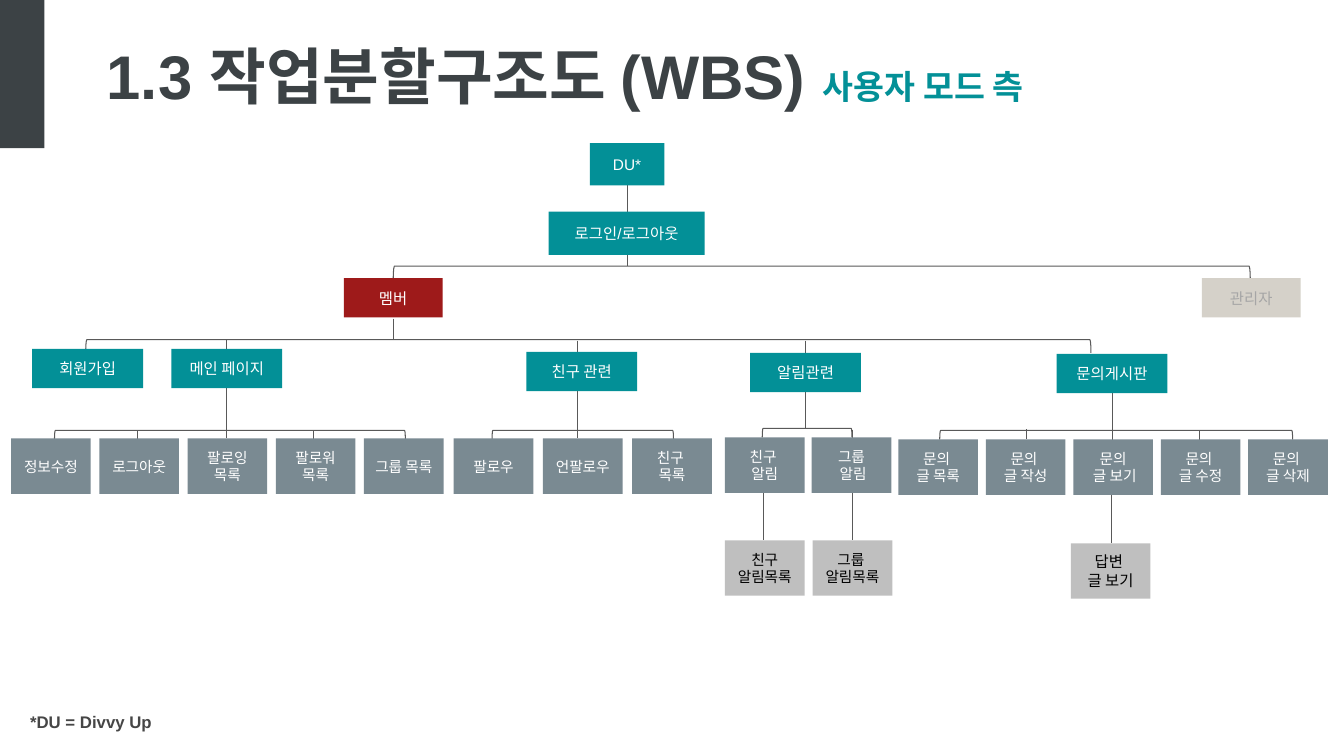
from lxml import etree
from pptx import Presentation
from pptx.dml.color import RGBColor
from pptx.enum import shapes, text
from pptx.oxml import ns
from pptx.util import Inches, Pt

DARK = RGBColor(0x3C, 0x42, 0x45)
NOTE = RGBColor(0x46, 0x46, 0x46)
LINE = RGBColor(0x59, 0x59, 0x59)
TEAL = RGBColor(0x03, 0x90, 0x97)
RED = RGBColor(0x9E, 0x1A, 0x1A)
SAND = RGBColor(0xD5, 0xD1, 0xC9)
FADED = RGBColor(0xA6, 0xA6, 0xA6)
SLATE = RGBColor(0x7A, 0x8A, 0x92)
GRAY = RGBColor(0xBF, 0xBF, 0xBF)
WHITE = RGBColor(0xFF, 0xFF, 0xFF)
BLACK = RGBColor(0, 0, 0)
FONT = "Arial"

# Title and footnote: left, top, width, height, runs of (text, size, colour)
NOTES = [
    (0.96, 0.33, 12.22, 0.84,
     [("1.3 작업분할구조도 (WBS) ", 44, DARK), ("사용자 모드 측", 24, TEAL)]),
    (0.2, 7.01, 2.01, 0.3, [("*DU = Divvy Up", 12, NOTE)]),
]

# Upper levels: label, left, top, width, height, fill, font colour
HEADS = [
    ("DU*", 5.85, 1.42, 0.74, 0.42, TEAL, WHITE),
    ("로그인/로그아웃", 5.44, 2.1, 1.55, 0.43, TEAL, WHITE),
    ("멤버", 3.41, 2.76, 0.98, 0.39, RED, WHITE),
    ("관리자", 11.92, 2.76, 0.98, 0.39, SAND, FADED),
]

# Menus under the member: label, left, top
MENU_W, MENU_H = 1.1, 0.39
MENUS = [
    ("회원가입", 0.32, 3.46),
    ("메인 페이지", 1.7, 3.46),
    ("친구 관련", 5.22, 3.49),
    ("알림관련", 7.44, 3.5),
    ("문의게시판", 10.48, 3.51),
]

# Pages of each menu: left of first, left of last, top, labels
PAGE_W, PAGE_H = 0.79, 0.55
PAGES = [
    (0.11, 3.61, 4.35, ["정보수정", "로그아웃", "팔로잉 목록", "팔로워\n목록", "그룹 목록"]),
    (4.5, 6.27, 4.35, ["팔로우", "언팔로우", "친구 \n목록"]),
    (7.19, 8.05, 4.34, ["친구 \n알림", "그룹\n 알림"]),
    (8.91, 12.38, 4.36,
     ["문의 \n글 목록", "문의 \n글 작성", "문의\n 글 보기", "문의 \n글 수정", "문의 \n글 삭제"]),
]

# Lowest level: label, left, top, size
SUBS = [
    ("친구\n알림목록", 7.19, 5.36, 10.5),
    ("그룹 \n알림목록", 8.06, 5.36, 10.5),
    ("답변 \n글 보기", 10.62, 5.39, 11),
]

# Brackets: left, right, top, drop
FORKS = [
    (3.9, 12.4, 2.64, 0.14),
    (0.85, 10.82, 3.37, 0.13),
    (0.54, 4.02, 4.27, 0.09),
    (4.88, 6.68, 4.27, 0.09),
    (7.56, 8.45, 4.25, 0.09),
    (9.32, 12.82, 4.27, 0.09),
]

# Vertical lines: x, top, bottom
STEMS = [
    (6.22, 1.84, 2.64), (3.9, 3.16, 3.37),
    (2.25, 3.37, 4.35), (5.73, 3.38, 4.35), (7.99, 3.38, 4.25), (11.03, 3.9, 4.41),
    (1.36, 4.27, 4.39), (3.11, 4.27, 4.39), (10.18, 4.26, 4.36), (11.9, 4.27, 4.37),
    (7.57, 4.64, 5.36), (8.46, 4.27, 5.36), (11.02, 4.89, 5.39),
]

deck = Presentation()
deck.slide_width, deck.slide_height = Inches(13.33), Inches(7.5)
slide = deck.slides.add_slide(deck.slide_layouts[6])


def style(run, size, color, bold=False):
    run.font.name = FONT
    run.font.size = Pt(size)
    run.font.bold = bold
    run.font.color.rgb = color


def add_line(item):
    item.line.color.rgb = LINE
    item.line.width = Pt(0.75)


def add_box(label, x, y, w, h, fill, color=WHITE, size=11):
    box = slide.shapes.add_shape(shapes.MSO_SHAPE.RECTANGLE, *map(Inches, (x, y, w, h)))
    box.shadow.inherit = False
    box.fill.solid()
    box.fill.fore_color.rgb = fill
    box.line.fill.background()
    if label:
        frame = box.text_frame
        frame.word_wrap = True
        frame.vertical_anchor = text.MSO_ANCHOR.MIDDLE
        frame.text = label
        for para in frame.paragraphs:
            para.alignment = text.PP_ALIGN.CENTER
            for run in para.runs:
                style(run, size, color)


def add_stem(x, top, end):
    stem = slide.shapes.add_connector(
        shapes.MSO_CONNECTOR.STRAIGHT, *map(Inches, (x, top, x, end)))
    add_line(stem)
    etree.SubElement(stem._element.spPr, ns.qn("a:effectLst"))


def add_fork(left, right, top, drop):
    # A left bracket turned to open downwards, centred on its span
    span = right - left
    x = (left + right - drop) / 2
    y = top + (drop - span) / 2
    fork = slide.shapes.add_shape(
        shapes.MSO_SHAPE.LEFT_BRACKET, *map(Inches, (x, y, drop, span)))
    fork.rotation = 90
    fork.shadow.inherit = False
    fork.fill.background()
    add_line(fork)


def add_note(x, y, w, h, runs):
    frame = slide.shapes.add_textbox(*map(Inches, (x, y, w, h))).text_frame
    frame.word_wrap = True
    frame.auto_size = text.MSO_AUTO_SIZE.SHAPE_TO_FIT_TEXT
    for words, size, color in runs:
        run = frame.paragraphs[0].add_run()
        run.text = words
        style(run, size, color, bold=True)


# Links lie behind the boxes
for fork in FORKS:
    add_fork(*fork)
for stem in STEMS:
    add_stem(*stem)

# Boxes, level by level
for head in HEADS:
    add_box(*head)
for label, x, y in MENUS:
    add_box(label, x, y, MENU_W, MENU_H, TEAL)
for first, last, y, labels in PAGES:
    step = (last - first) / (len(labels) - 1)
    for i, label in enumerate(labels):
        add_box(label, first + i * step, y, PAGE_W, PAGE_H, SLATE, size=10.5)
for label, x, y, size in SUBS:
    add_box(label, x, y, PAGE_W, PAGE_H, GRAY, BLACK, size)

# Title, footnote and corner block
for note in NOTES:
    add_note(*note)
add_box("", -0.01, 0, 0.45, 1.47, DARK)

deck.save("out.pptx")
